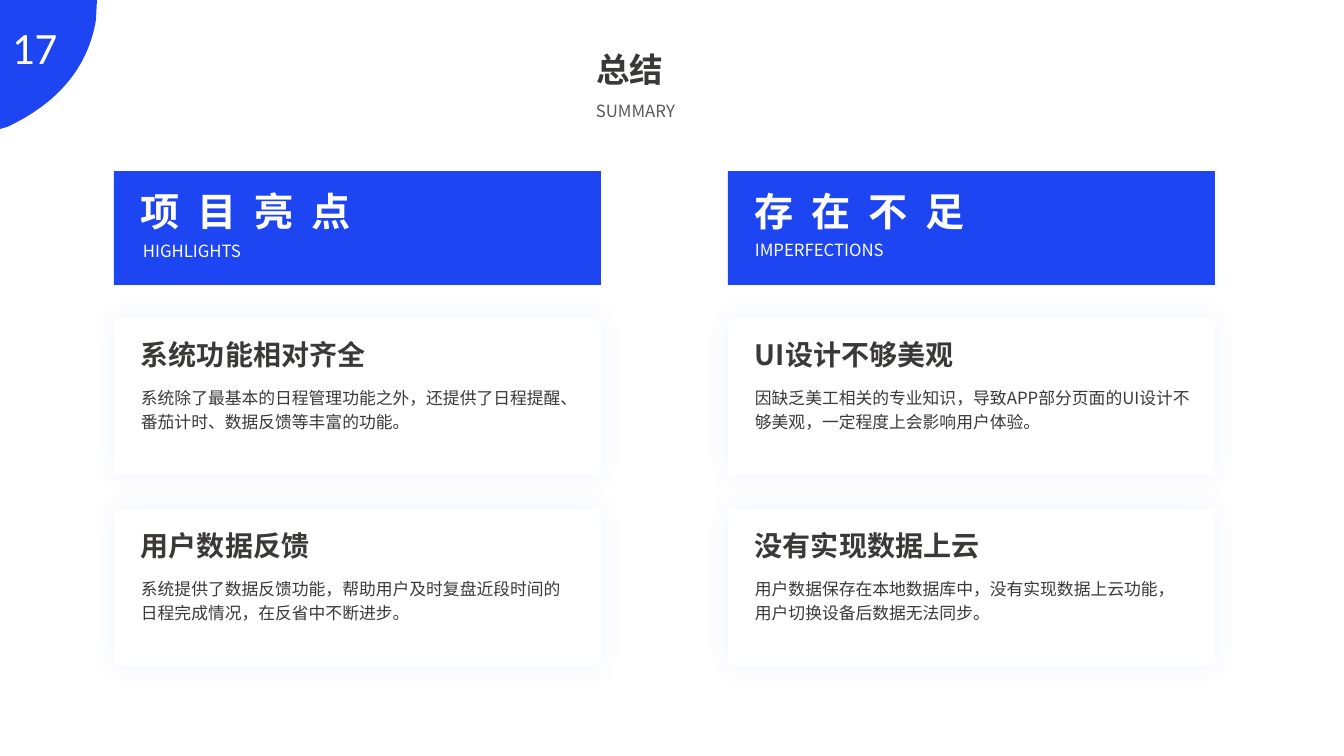
from lxml import etree
from pptx import Presentation
from pptx.dml.color import RGBColor
from pptx.enum.shapes import MSO_SHAPE
from pptx.enum.text import MSO_ANCHOR, MSO_AUTO_SIZE, PP_ALIGN
from pptx.oxml.ns import qn
from pptx.util import Emu, Pt

RECTANGLE = MSO_SHAPE.RECTANGLE
TOP = MSO_ANCHOR.TOP
FIT_TEXT = MSO_AUTO_SIZE.SHAPE_TO_FIT_TEXT
LEFT, JUSTIFY = PP_ALIGN.LEFT, PP_ALIGN.JUSTIFY

BLUE = RGBColor(0x1D, 0x45, 0xF2)
WHITE = RGBColor(0xFF, 0xFF, 0xFF)
DARK = RGBColor(0x3B, 0x38, 0x38)
GRAY = RGBColor(0x59, 0x59, 0x59)
CJK_FONT = "Noto Sans CJK SC"
NUMBER_FONT = "Calibri"

EMU_PER_PX = 914400 / 100.8
SLIDE_WIDTH, SLIDE_HEIGHT = 1344, 756
COLUMN_LEFT, COLUMN_PITCH, COLUMN_WIDTH = 114, 614, 487
BANNER_TOP, BANNER_HEIGHT = 171, 114
CARD_TOP, CARD_PITCH, CARD_HEIGHT = 318, 191, 157
TEXT_INDENT = 17

# heading, English label, (label indent, label top), cards
COLUMNS = [
    ("项 目 亮 点", "HIGHLIGHTS", (19, 238), [
        ("系统功能相对齐全",
         "系统除了最基本的日程管理功能之外，还提供了日程提醒、番茄计时、数据反馈等丰富的功能。"),
        ("用户数据反馈",
         "系统提供了数据反馈功能，帮助用户及时复盘近段时间的日程完成情况，在反省中不断进步。"),
    ]),
    ("存 在 不 足", "IMPERFECTIONS", (17, 237), [
        ("UI设计不够美观",
         "因缺乏美工相关的专业知识，导致APP部分页面的UI设计不够美观，一定程度上会影响用户体验。"),
        ("没有实现数据上云",
         "用户数据保存在本地数据库中，没有实现数据上云功能，用户切换设备后数据无法同步。"),
    ]),
]


def px(length):
    return Emu(round(length * EMU_PER_PX))


def curve_points(start, control_1, control_2, end, steps=32):
    """Points along a cubic Bezier curve, without its start."""
    points = []
    for step in range(1, steps + 1):
        t = step / steps
        u = 1 - t
        weights = (u ** 3, 3 * u * u * t, 3 * u * t * t, t ** 3)
        anchors = (start, control_1, control_2, end)
        points.append(tuple(sum(w * a[axis] for w, a in zip(weights, anchors))
                            for axis in (0, 1)))
    return points


class SlideBuilder:
    """Draws styled elements on one slide, with lengths in px."""

    def __init__(self, slide):
        self.slide = slide
        self.shapes = slide.shapes

    def paint(self, shape, color):
        shape.fill.solid()
        shape.fill.fore_color.rgb = color
        shape.line.fill.background()
        shape.shadow.inherit = False

    def outline(self, points, color):
        corners = [(px(x), px(y)) for x, y in points]
        builder = self.shapes.build_freeform(*corners[0], scale=1.0)
        builder.add_line_segments(corners[1:], close=True)
        self.paint(builder.convert_to_shape(), color)

    def rectangle(self, left, top, width, height, color):
        box = self.shapes.add_shape(RECTANGLE, px(left), px(top), px(width), px(height))
        self.paint(box, color)
        return box

    def card(self, left, top, width, height):
        """White rectangle with a soft blue glow around it."""
        box = self.rectangle(left, top, width, height, WHITE)
        effects = box._element.spPr.find(qn("a:effectLst"))
        shadow = etree.SubElement(effects, qn("a:outerShdw"), blurRad=str(Pt(20)),
                                  dist="0", dir="0", algn="ctr", rotWithShape="0")
        tint = etree.SubElement(shadow, qn("a:srgbClr"), val=str(BLUE))
        etree.SubElement(tint, qn("a:alpha"), val="5000")

    def set_text(self, box, text, size, color, bold=False, font=CJK_FONT,
                 align=LEFT, line_spacing=0.9, letter_spacing=0, wrap=True):
        frame = box.text_frame
        frame.word_wrap = wrap
        frame.auto_size = FIT_TEXT
        frame.vertical_anchor = TOP
        frame.text = text
        paragraph = frame.paragraphs[0]
        paragraph.alignment = align
        paragraph.line_spacing = line_spacing
        paragraph.space_before = Pt(0)
        style = paragraph.font
        style.size, style.bold, style.name = Pt(size), bold, font
        style.color.rgb = color
        properties = paragraph._p.pPr.find(qn("a:defRPr"))
        if letter_spacing:
            properties.set("spc", str(letter_spacing))
        latin = properties.find(qn("a:latin"))
        latin.addnext(etree.Element(qn("a:ea"), typeface=font))

    def title(self, left, top, width, height, text, **style):
        box = self.shapes.title
        box.left, box.top, box.width, box.height = map(px, (left, top, width, height))
        self.set_text(box, text, **style)

    def text(self, left, top, width, height, text, **style):
        box = self.shapes.add_textbox(px(left), px(top), px(width), px(height))
        self.set_text(box, text, **style)


def main():
    deck = Presentation()
    deck.slide_width, deck.slide_height = px(SLIDE_WIDTH), px(SLIDE_HEIGHT)
    title_only = deck.slide_layouts[5]
    page = SlideBuilder(deck.slides.add_slide(title_only))

    arc_start = (96, 20)
    arc = curve_points(arc_start, (87, 74), (50, 107), (7, 127))
    page.outline([(0, 0), (97, 0), arc_start, *arc, (0, 129)], BLUE)
    page.text(2, 15, 67, 65, "17", size=32, color=WHITE, font=NUMBER_FONT,
              line_spacing=1.0, wrap=False)

    page.title(586, 48, 198, 46, "总结", size=24, color=DARK, bold=True, align=JUSTIFY)
    page.text(586, 96, 204, 30, "SUMMARY", size=12, color=GRAY, align=JUSTIFY,
              line_spacing=1.0)

    for column, (heading, label, (label_indent, label_top), cards) in enumerate(COLUMNS):
        left = COLUMN_LEFT + column * COLUMN_PITCH
        text_left = left + TEXT_INDENT
        page.rectangle(left, BANNER_TOP, COLUMN_WIDTH, BANNER_HEIGHT, BLUE)
        page.text(text_left, 188, 393, 52, heading, size=28, color=WHITE, bold=True,
                  letter_spacing=320)
        page.text(left + label_indent, label_top, 239, 28, label, size=12, color=WHITE,
                  align=JUSTIFY)
        for row, (name, detail) in enumerate(cards):
            top = CARD_TOP + row * CARD_PITCH
            page.card(left, top, COLUMN_WIDTH, CARD_HEIGHT)
            page.text(text_left, top + 18, 393, 40, name, size=20, color=DARK, bold=True)
            page.text(text_left, top + 61, 455, 58, detail, size=12, color=DARK,
                      line_spacing=1.2)

    deck.save("out.pptx")


if __name__ == "__main__":
    main()
